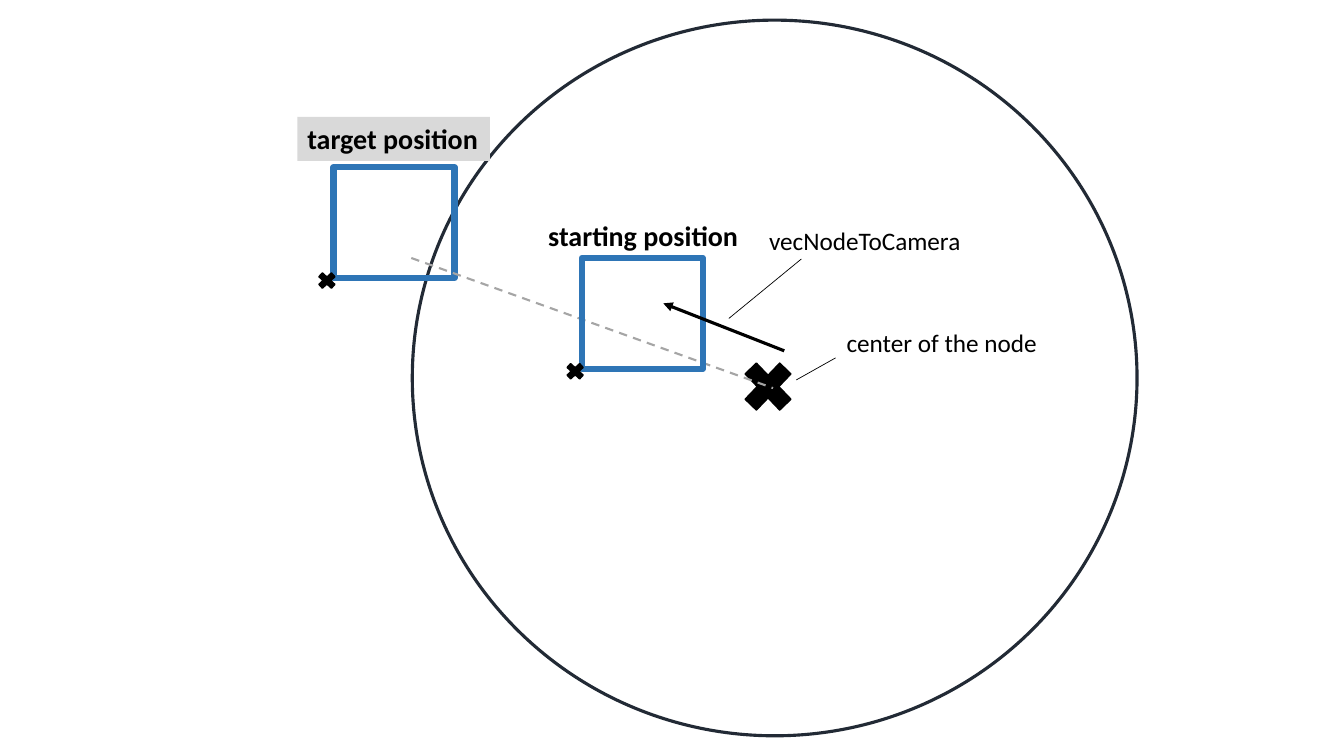
from dataclasses import dataclass
from typing import Any, Optional

import lxml.etree
import pptx
import pptx.dml.color
import pptx.enum.dml
import pptx.enum.shapes
import pptx.enum.text
import pptx.oxml.ns
import pptx.util

Pt = pptx.util.Pt
SHAPE = pptx.enum.shapes.MSO_SHAPE
qn = pptx.oxml.ns.qn
BLACK = "000000"


@dataclass
class Figure:
    kind: Any
    left: float
    top: float
    width: float
    height: float
    fill: Optional[str] = None
    line: str = BLACK
    weight: float = 1


@dataclass
class Camera:
    left: float
    top: float


@dataclass
class Segment:
    x1: float
    y1: float
    x2: float
    y2: float
    color: str = BLACK
    weight: float = 0.5
    dashed: bool = False
    arrow: bool = False


@dataclass
class Label:
    text: str
    left: float
    top: float
    width: float
    height: float
    size: float = 18
    bold: bool = False
    wrap: bool = False
    fill: Optional[str] = None


ELEMENTS = [
    Figure(SHAPE.OVAL, 294.5, 14.4, 517.7, 511.2, line="222A35", weight=2.25),
    Segment(596.9, 255.6, 568.8, 271.4),
    Camera(238.3, 119.5),
    Figure(SHAPE.MATH_MULTIPLY, 524.9, 251.3, 47.5, 49.7, fill=BLACK),
    Label("center of the node", 597.6, 230.4, 151.9, 29),
    Segment(293.8, 184.3, 552.2, 277.2, "A5A5A5", 1.5, dashed=True),
    Camera(415.6, 184.3),
    Segment(560.2, 250.6, 473.8, 216.7, weight=2.25, arrow=True),
    Label("vecNodeToCamera", 542.2, 157.7, 152.6, 29, wrap=True),
    Segment(572.4, 185, 520.6, 227.5),
    Label("target position", 212.4, 83.5, 137.5, 31.5, 20, True, fill="D9D9D9"),
    Label("starting position", 384.5, 152.6, 153.4, 31.5, 20, True),
]


def rgb(value: str) -> pptx.dml.color.RGBColor:
    return pptx.dml.color.RGBColor.from_string(value)


def set_format(target: Any, values: dict) -> None:
    for name, value in values.items():
        setattr(target, name, value)


def set_fill(sp: Any, color: Optional[str]) -> None:
    if color is None:
        sp.fill.background()
    else:
        sp.fill.solid()
        sp.fill.fore_color.rgb = rgb(color)


def draw_figure(shapes: Any, fig: Figure) -> None:
    sp = shapes.add_shape(
        fig.kind, Pt(fig.left), Pt(fig.top), Pt(fig.width), Pt(fig.height)
    )
    sp.shadow.inherit = False
    set_fill(sp, fig.fill)
    sp.line.color.rgb = rgb(fig.line)
    sp.line.width = Pt(fig.weight)


def draw_camera(shapes: Any, cam: Camera) -> None:
    group = shapes.add_group_shape().shapes
    draw_figure(group, Figure(SHAPE.RECTANGLE, cam.left, cam.top, 86.4, 79.2,
                              line="2E75B6", weight=4.5))
    draw_figure(group, Figure(SHAPE.MATH_MULTIPLY, cam.left - 13.4, cam.top + 73,
                              17.3, 15.8, fill=BLACK))


def draw_segment(shapes: Any, seg: Segment) -> None:
    sp = shapes.add_connector(
        pptx.enum.shapes.MSO_CONNECTOR.STRAIGHT,
        Pt(seg.x1), Pt(seg.y1), Pt(seg.x2), Pt(seg.y2),
    )
    sp.line.color.rgb = rgb(seg.color)
    sp.line.width = Pt(seg.weight)
    if seg.dashed:
        sp.line.dash_style = pptx.enum.dml.MSO_LINE.DASH
    if seg.arrow:
        lxml.etree.SubElement(
            sp.line._get_or_add_ln(), qn("a:tailEnd"), type="triangle"
        )
    lxml.etree.SubElement(sp._element.spPr, qn("a:effectLst"))


def draw_label(shapes: Any, label: Label) -> None:
    sp = shapes.add_textbox(
        Pt(label.left), Pt(label.top), Pt(label.width), Pt(label.height)
    )
    set_fill(sp, label.fill)
    tf = sp.text_frame
    set_format(tf, {
        "word_wrap": label.wrap,
        "auto_size": pptx.enum.text.MSO_AUTO_SIZE.SHAPE_TO_FIT_TEXT,
    })
    r = tf.paragraphs[0].add_run()
    r.text = label.text
    set_format(r.font, {
        "name": "Calibri", "size": Pt(label.size), "bold": label.bold,
    })
    r.font.color.rgb = rgb(BLACK)


DRAW = {
    Figure: draw_figure,
    Camera: draw_camera,
    Segment: draw_segment,
    Label: draw_label,
}


def main() -> None:
    prs = pptx.Presentation()
    set_format(prs, {"slide_width": Pt(960), "slide_height": Pt(540)})
    s = prs.slides.add_slide(prs.slide_layouts[6])
    for element in ELEMENTS:
        DRAW[type(element)](s.shapes, element)
    prs.save("out.pptx")


if __name__ == "__main__":
    main()
